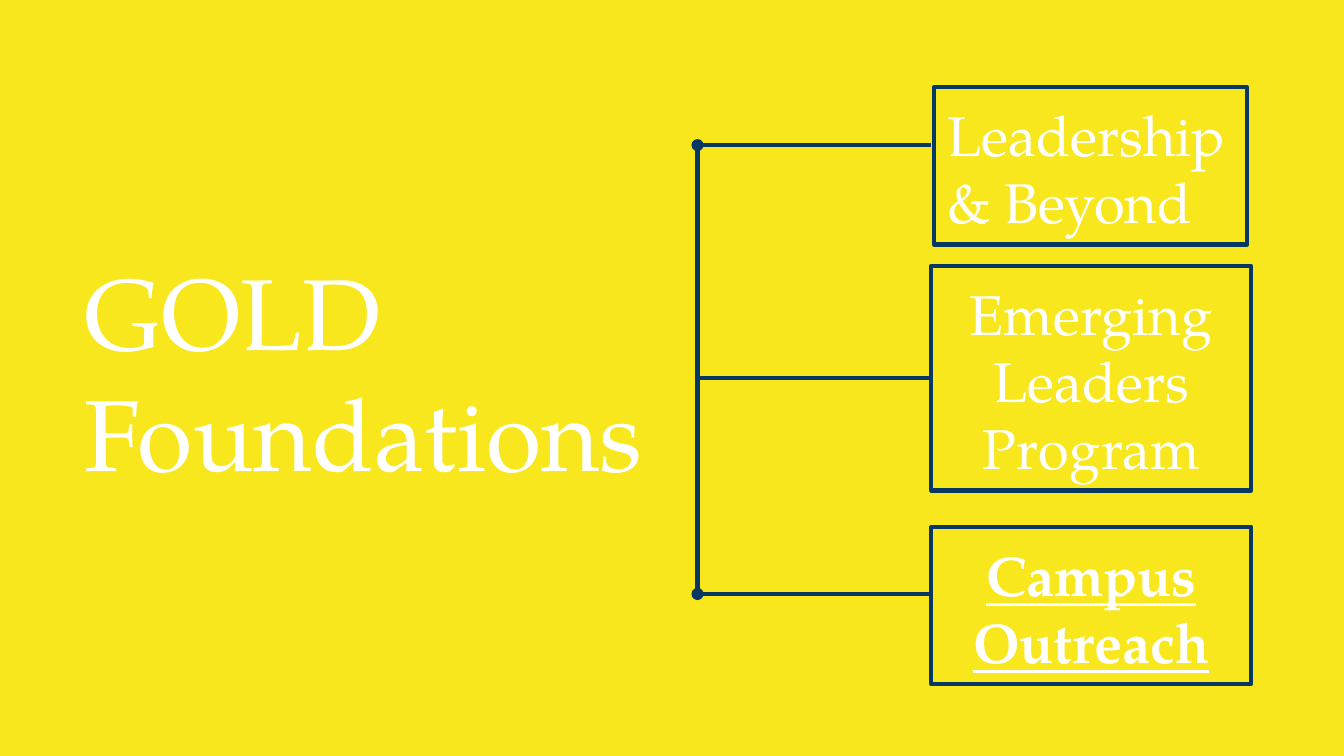
from dataclasses import dataclass
from lxml.etree import SubElement
from pptx import Presentation
from pptx.dml.color import RGBColor
from pptx.enum.shapes import MSO_CONNECTOR as Connector, MSO_SHAPE as Shape
from pptx.enum.text import MSO_ANCHOR as Anchor, PP_ALIGN as Align
from pptx.oxml.ns import qn
from pptx.util import Inches, Pt


@dataclass(frozen=True)
class Theme:
    background: RGBColor = RGBColor.from_string("F8E71C")
    line: RGBColor = RGBColor.from_string("073763")
    text: RGBColor = RGBColor.from_string("FFFFFF")
    font: str = "TeX Gyre Pagella"
    title_size: int = 54
    box_size: int = 30
    line_width: float = 2.25
    dot_line_width: float = 0.75


THEME = Theme()
WIDTH = 10
HEIGHT = WIDTH * 9 / 16
TITLE = "GOLD Foundations"
TITLE_AREA = (0.53, 0.39, 4.59, 3.85)
TITLE_TOP_INSET = 0.98
INSET = 0.1
TRUNK = 5.19
BOX_LEFT, BOX_WIDTH = 6.93, 2.38
DOT = 0.08

PROGRAMS = [
    dict(text="Leadership & Beyond", left=6.95, width=2.33, top=0.65, height=1.17,
         branch=1.08, align=Align.LEFT),
    dict(text="Emerging Leaders Program", top=1.98, height=1.67),
    dict(text="Campus Outreach", top=3.92, height=1.17, branch=4.42, current=True),
]


def write(shape, text, size, align, anchor, top_inset=INSET, current=None):
    frame = shape.text_frame
    frame.word_wrap = True
    frame.vertical_anchor = anchor
    frame.margin_left = frame.margin_right = frame.margin_bottom = Inches(INSET)
    frame.margin_top = Inches(top_inset)
    paragraph = frame.paragraphs[0]
    paragraph.text = text
    paragraph.alignment = align
    font = paragraph.font
    font.name, font.size = THEME.font, Pt(size)
    font.color.rgb = THEME.text
    font.bold = font.underline = current


def add_line(slide, *ends):
    line = slide.shapes.add_connector(Connector.STRAIGHT, *map(Inches, ends))
    line.line.color.rgb = THEME.line
    line.line.width = Pt(THEME.line_width)
    SubElement(line._element.spPr, qn("a:effectLst"))
    return line


def add_outlined(slide, kind, area, width):
    shape = slide.shapes.add_shape(kind, *map(Inches, area))
    shape.shadow.inherit = False
    shape.line.color.rgb = THEME.line
    shape.line.width = Pt(width)
    return shape


def add_dot(slide, branch):
    area = (TRUNK - DOT / 2, branch - DOT / 2, DOT, DOT)
    dot = add_outlined(slide, Shape.OVAL, area, THEME.dot_line_width)
    dot.fill.solid()
    dot.fill.fore_color.rgb = THEME.line


def add_program(slide, program):
    top, height = program["top"], program["height"]
    area = (program.get("left", BOX_LEFT), top, program.get("width", BOX_WIDTH), height)
    box = add_outlined(slide, Shape.RECTANGLE, area, THEME.line_width)
    box.fill.background()
    write(box, program["text"], THEME.box_size, program.get("align", Align.CENTER),
          Anchor.TOP, current=program.get("current"))
    branch = program.get("branch", top + height / 2)
    line = add_line(slide, TRUNK, branch, BOX_LEFT, branch)
    if "branch" in program:
        add_dot(slide, branch)
    else:
        line.end_connect(box, 1)


def main():
    presentation = Presentation()
    presentation.slide_width, presentation.slide_height = Inches(WIDTH), Inches(HEIGHT)
    slide = presentation.slides.add_slide(presentation.slide_layouts[6])
    slide.background.fill.solid()
    slide.background.fill.fore_color.rgb = THEME.background

    title = slide.shapes.add_textbox(*map(Inches, TITLE_AREA))
    write(title, TITLE, THEME.title_size, Align.LEFT, Anchor.MIDDLE, TITLE_TOP_INSET)

    add_line(slide, TRUNK, PROGRAMS[0]["branch"], TRUNK, PROGRAMS[-1]["branch"])
    for program in PROGRAMS:
        add_program(slide, program)
    presentation.save("out.pptx")


if __name__ == "__main__":
    main()
